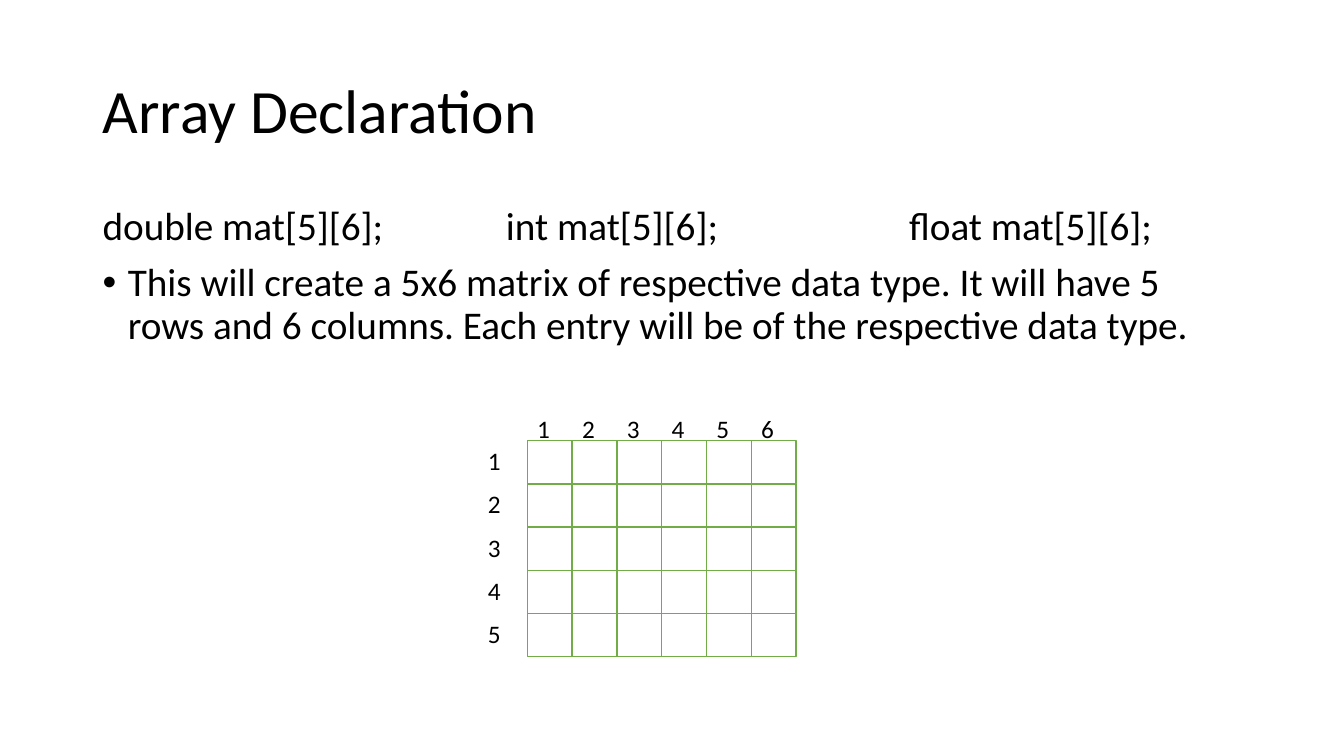
from lxml import etree
from pptx import Presentation
from pptx.dml.color import RGBColor
from pptx.enum.shapes import MSO_SHAPE
from pptx.enum.text import MSO_ANCHOR, MSO_AUTO_SIZE, PP_ALIGN
from pptx.oxml.ns import qn
from pptx.util import Inches, Pt

RECTANGLE = MSO_SHAPE.RECTANGLE
MIDDLE = MSO_ANCHOR.MIDDLE
NO_AUTOFIT = MSO_AUTO_SIZE.NONE
LEFT = PP_ALIGN.LEFT

COLORS = {"text": "000000", "cell": "FFFFFF", "line": "70AD47"}
FONT = "Calibri"
WIDTH, HEIGHT = Inches(13.33), Inches(7.5)
COLUMN, ROW = WIDTH / 30, HEIGHT / 17.5
MATRIX_ROWS, MATRIX_COLUMNS = 5, 6
MATRIX_LEFT, MATRIX_TOP = 11.77, 10.2


def color(name):
    return RGBColor.from_string(COLORS[name])


def write(paragraph, text, size=18, spacing=1.0, before=0, bullet=None, tabs=()):
    paragraph.text = text
    properties = paragraph._p.get_or_add_pPr()
    if bullet:
        indent = Inches(0.25)
        properties.set("marL", str(indent))
        properties.set("indent", str(-indent))
        etree.SubElement(properties, qn("a:buFont"), typeface="Arial")
        etree.SubElement(properties, qn("a:buChar"), char=bullet)
    if tabs:
        stops = etree.SubElement(properties, qn("a:tabLst"))
        for position in tabs:
            etree.SubElement(stops, qn("a:tab"), pos=str(int(position)), algn="l")
    paragraph.alignment = LEFT
    paragraph.line_spacing = spacing
    paragraph.space_before = Pt(before)
    for run in paragraph.runs:
        run.font.name = FONT
        run.font.size = Pt(size)
        run.font.color.rgb = color("text")


class GridSlide:
    def __init__(self, presentation):
        self.slide = presentation.slides.add_slide(presentation.slide_layouts[5])

    def box(self, left, top, width, height):
        return [int(length) for length in (left * COLUMN, top * ROW, width * COLUMN, height * ROW)]

    def title(self, text, *place):
        heading = self.slide.shapes.title
        heading.left, heading.top, heading.width, heading.height = self.box(*place)
        heading.text_frame.auto_size = NO_AUTOFIT
        heading.text_frame.vertical_anchor = MIDDLE
        write(heading.text_frame.paragraphs[0], text, size=44, spacing=0.9)

    def text(self, paragraphs, *place):
        frame = self.slide.shapes.add_textbox(*self.box(*place)).text_frame
        frame.word_wrap = True
        for index, (words, style) in enumerate(paragraphs):
            paragraph = frame.add_paragraph() if index else frame.paragraphs[0]
            write(paragraph, words, **style)

    def cell(self, left, top):
        square = self.slide.shapes.add_shape(RECTANGLE, *self.box(left, top, 1, 1))
        square.shadow.inherit = False
        square.fill.solid()
        square.fill.fore_color.rgb = color("cell")
        square.line.color.rgb = color("line")
        square.line.width = Pt(1)


def main():
    presentation = Presentation()
    presentation.slide_width, presentation.slide_height = WIDTH, HEIGHT
    page = GridSlide(presentation)

    page.title("Array Declaration", 2.07, 0.93, 25.88, 3.38)
    declarations = "double mat[5][6];\tint mat[5][6];\tfloat mat[5][6];"
    explanation = (
        "This will create a 5x6 matrix of respective data type. It will have 5 rows "
        "and 6 columns. Each entry will be of the respective data type."
    )
    page.text(
        [
            (declarations, {"size": 28, "spacing": 0.9, "tabs": (Inches(4), Inches(8))}),
            (explanation, {"size": 28, "spacing": 0.9, "before": 10, "bullet": "•"}),
        ],
        2.07, 4.67, 25.88, 11.1,
    )

    for row in range(MATRIX_ROWS):
        for column in range(MATRIX_COLUMNS):
            page.cell(MATRIX_LEFT + column, MATRIX_TOP + row)

    column_numbers = "\t".join(str(column + 1) for column in range(MATRIX_COLUMNS))
    column_stops = [column * COLUMN for column in range(1, MATRIX_COLUMNS)]
    page.text([(column_numbers, {"tabs": column_stops})], MATRIX_LEFT, 9.45, MATRIX_COLUMNS, 0.93)
    for row in range(MATRIX_ROWS):
        page.text([(str(row + 1), {})], 10.67, MATRIX_TOP + row, 0.74, 0.93)

    presentation.save("out.pptx")


if __name__ == "__main__":
    main()
